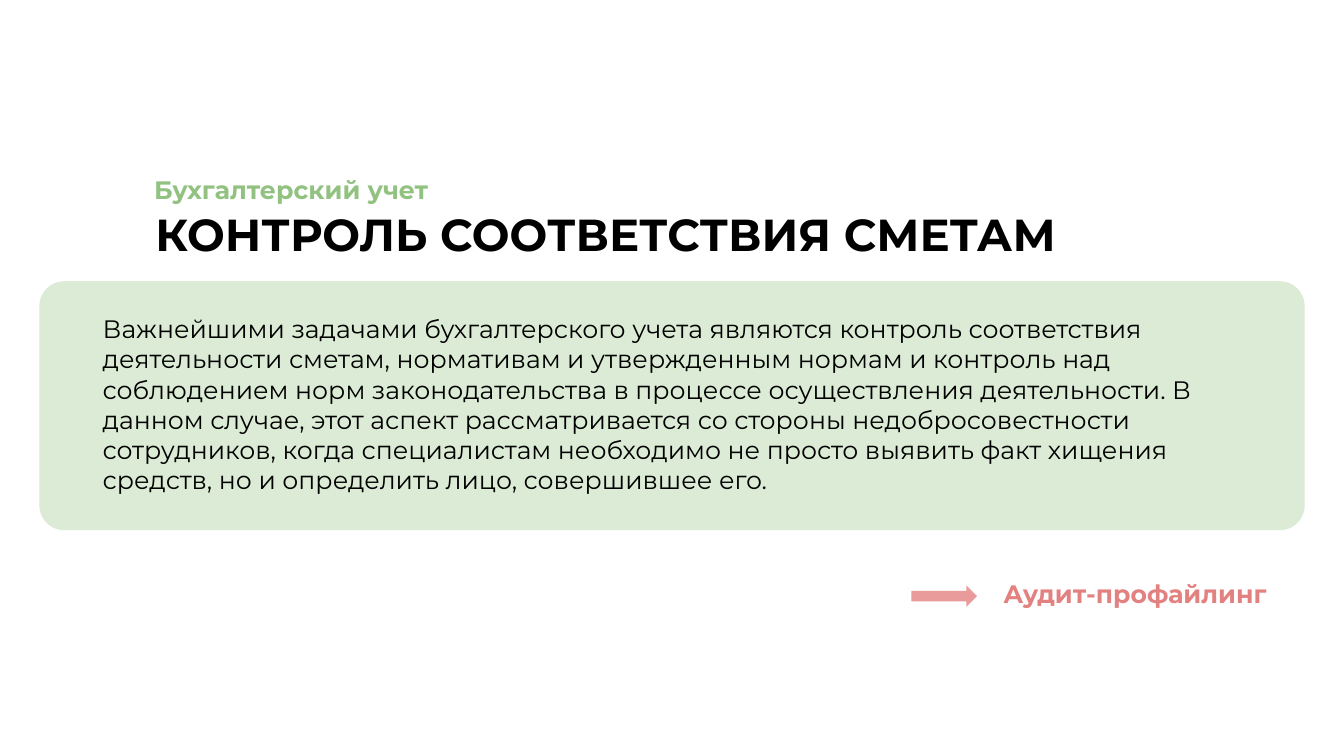
from dataclasses import dataclass

from pptx import Presentation
from pptx.dml.color import RGBColor as Color
from pptx.enum.shapes import MSO_SHAPE as Shape
from pptx.enum.text import MSO_ANCHOR as Anchor, MSO_AUTO_SIZE as Fit, PP_ALIGN as Align
from pptx.util import Inches, Pt


@dataclass(frozen=True)
class Theme:
    font: str = "Montserrat"
    ink: str = "000000"
    green: str = "91C280"
    pale: str = "DBEBD5"
    rose: str = "E38181"
    pink: str = "E99B9B"
    head: int = 32
    body: int = 18


THEME = Theme()
TITLE = "КОНТРОЛЬ СООТВЕТСТВИЯ СМЕТАМ"
TOPIC = "Бухгалтерский учет"
BODY = (
    "Важнейшими задачами бухгалтерского учета являются контроль соответствия "
    "деятельности сметам, нормативам и утвержденным нормам и контроль над "
    "соблюдением норм законодательства в процессе осуществления деятельности. "
    "В данном случае, этот аспект рассматривается со стороны "
    "недобросовестности сотрудников, когда специалистам необходимо не просто "
    "выявить факт хищения средств, но и определить лицо, совершившее его."
)
NEXT = "Аудит-профайлинг"


def place(shape, x, y, w, h):
    shape.left, shape.top = Inches(x), Inches(y)
    shape.width, shape.height = Inches(w), Inches(h)


def write(shape, text, color, size=THEME.body, bold=True, align=Align.LEFT,
          anchor=Anchor.MIDDLE, pad=0.1, line=0.9):
    frame = shape.text_frame
    frame.word_wrap = True
    frame.auto_size = Fit.NONE
    frame.vertical_anchor = anchor
    frame.margin_left = frame.margin_right = Inches(0.1)
    frame.margin_top = frame.margin_bottom = Inches(pad)
    para = frame.paragraphs[0]
    para.alignment = align
    para.line_spacing = line
    run = para.add_run()
    run.text = text
    font = run.font
    font.name, font.size, font.bold = THEME.font, Pt(size), bold
    font.color.rgb = Color.from_string(color)


def label(slide, box, text, color, **style):
    write(slide.shapes.add_textbox(*map(Inches, box)), text, color, **style)


def block(slide, kind, box, color, *adjust):
    """Add a flat preset shape without an outline."""
    shape = slide.shapes.add_shape(kind, *map(Inches, box))
    shape.shadow.inherit = False
    shape.fill.solid()
    shape.fill.fore_color.rgb = Color.from_string(color)
    shape.line.fill.background()
    for i, value in enumerate(adjust):
        shape.adjustments[i] = value


def header(slide, x, y, w, h):
    title = slide.shapes.title
    place(title, x + 0.01, y + 0.23, w, h - 0.23)
    write(title, TITLE, THEME.ink, size=THEME.head)
    label(slide, (x, y, w / 2, 0.4), TOPIC, THEME.green)


def panel(slide, x, y, w, h):
    block(slide, Shape.ROUNDED_RECTANGLE, (x, y, w, h), THEME.pale, 0.1)
    label(slide, (x + 0.53, y + 0.27, w - 1.07, h - 0.55), BODY, THEME.ink,
          bold=False, anchor=Anchor.TOP, pad=0.05, line=1.0)


def footer(slide, x, y, w, h):
    block(slide, Shape.RIGHT_ARROW, (x, y + 0.17, 0.65, 0.21), THEME.pink, 0.5, 0.5)
    label(slide, (x + 0.78, y, w - 0.78, h), NEXT, THEME.rose, align=Align.RIGHT)


def main():
    deck = Presentation()
    deck.slide_width, deck.slide_height = Inches(13.33), Inches(7.5)
    slide = deck.slides.add_slide(deck.slide_layouts[5])
    header(slide, 1.43, 1.7, 10.43, 1.07)
    panel(slide, 0.39, 2.79, 12.55, 2.47)
    footer(slide, 9.04, 5.64, 3.62, 0.54)
    deck.save("out.pptx")


if __name__ == "__main__":
    main()
